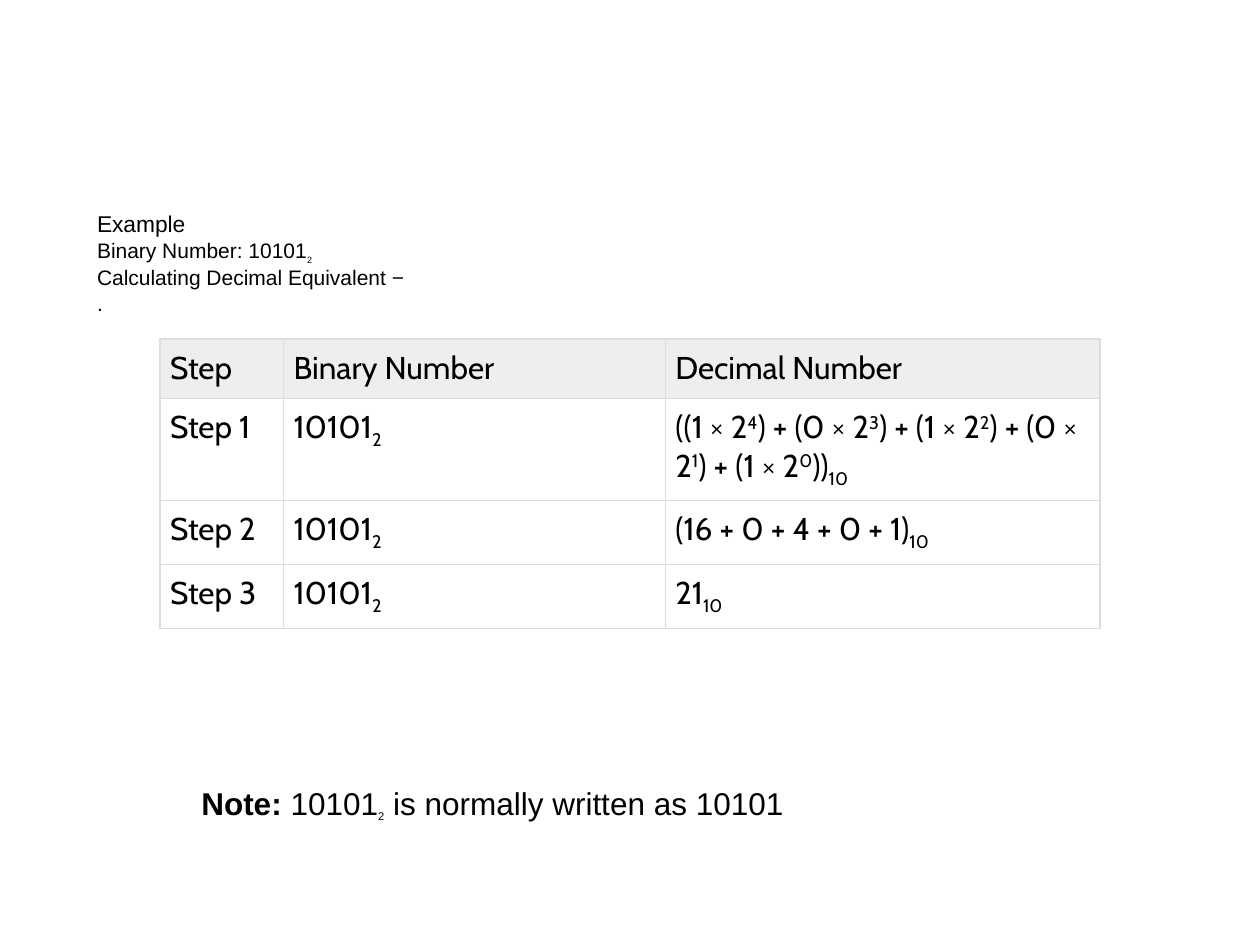
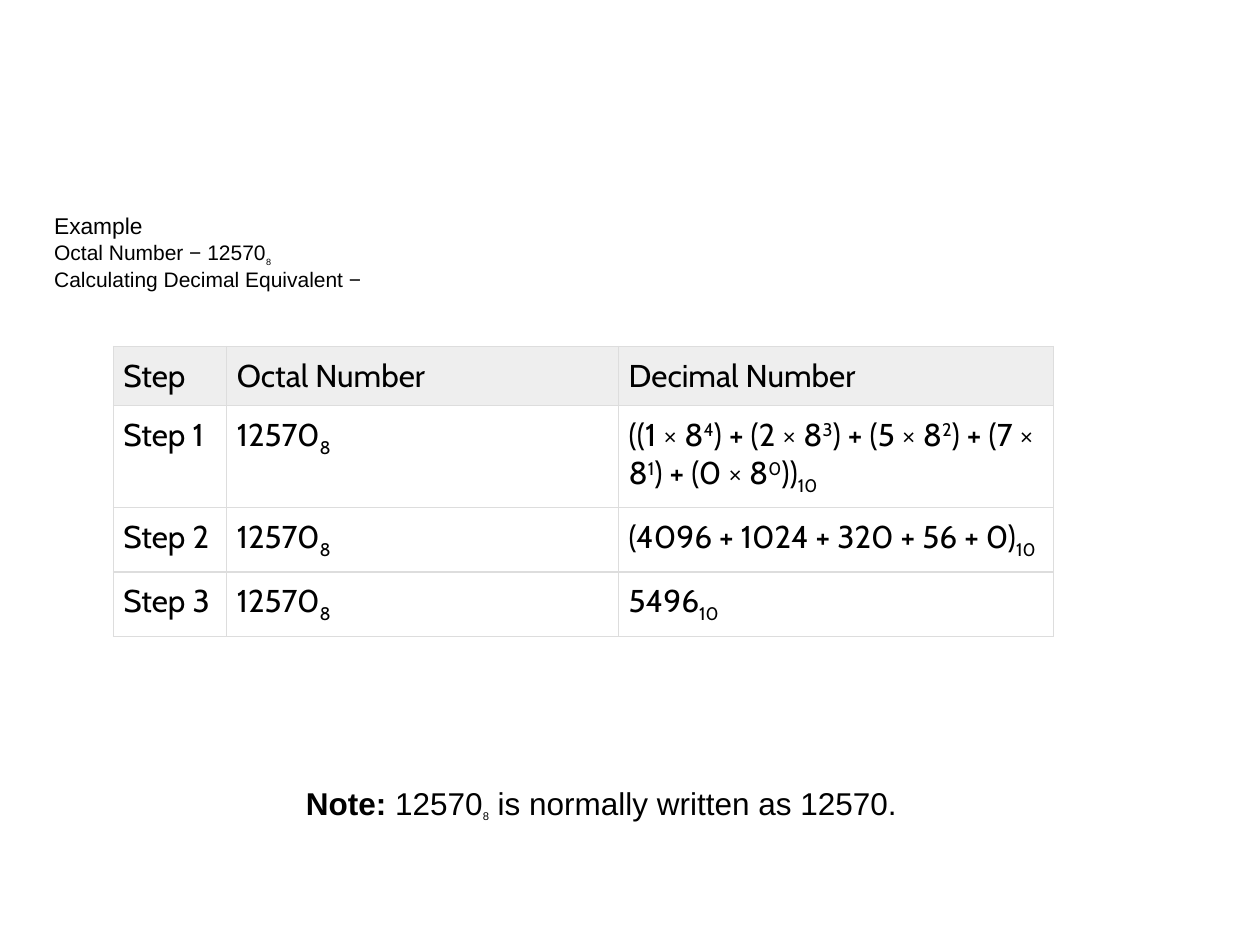
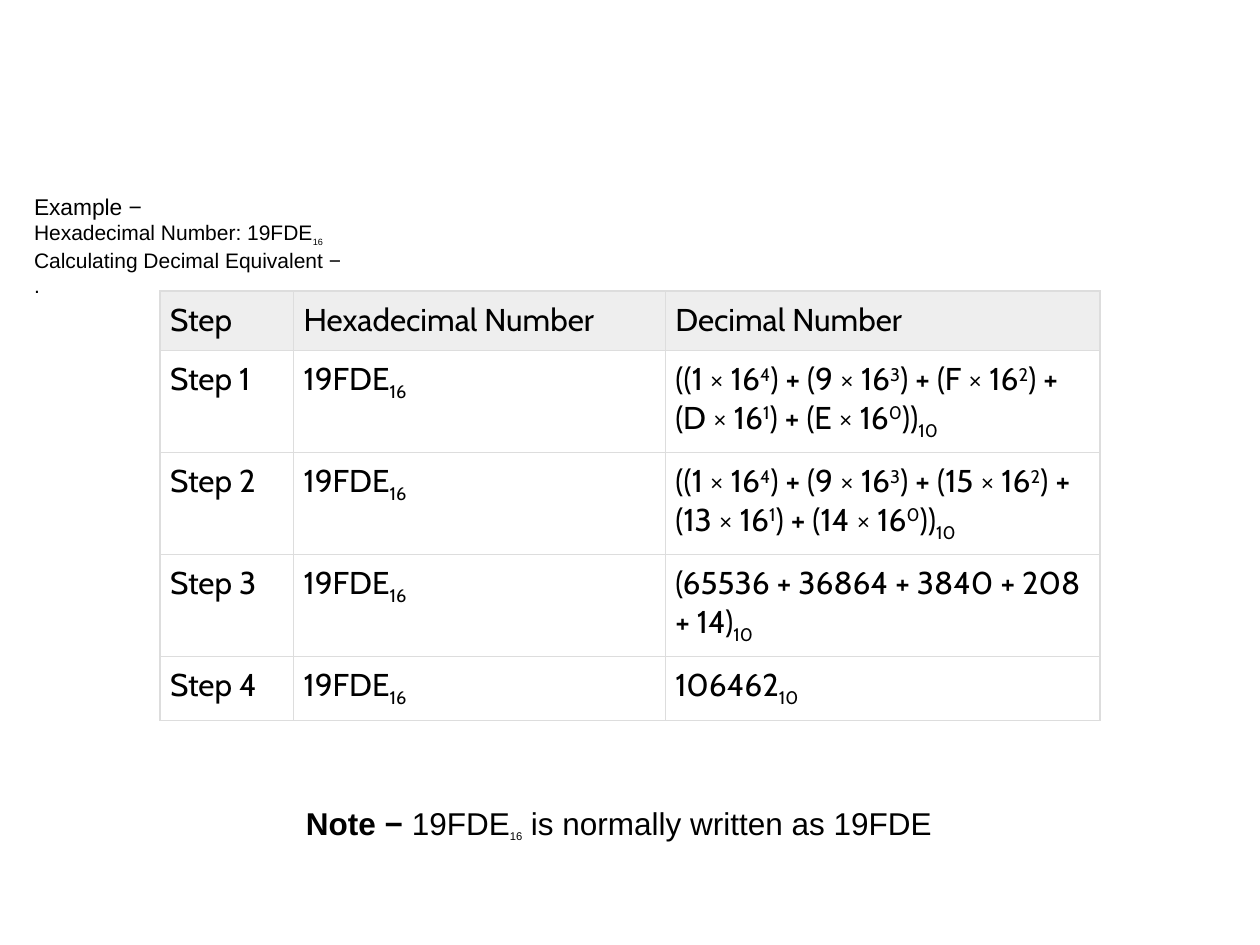
from dataclasses import dataclass

from lxml.etree import SubElement
from pptx import Presentation
from pptx.dml.color import RGBColor
from pptx.enum.text import MSO_ANCHOR, MSO_AUTO_SIZE, PP_ALIGN
from pptx.oxml.ns import qn
from pptx.util import Emu, Pt

PX = 9144  # 100 px to the inch


@dataclass(frozen=True)
class Theme:
    text_font: str = "Arial"
    table_font: str = "Cabin"
    ink: str = "000000"
    header_fill: str = "EEEEEE"
    border: str = "DDDDDD"
    border_pt: float = 0.75
    lead_pt: int = 13
    detail_pt: int = 12
    detail_script_pt: int = 9
    table_pt: int = 18
    note_pt: int = 18
    note_script_pt: int = 11
    superscript: int = 30
    table_subscript: int = -25
    text_subscript: int = -30


@dataclass(frozen=True)
class Conversion:
    """A worked conversion and the boxes (left, top, width, height) of its parts."""
    system: str
    number: str
    base: int
    heading: tuple
    heading_box: tuple
    columns: tuple
    table_at: tuple
    steps: tuple
    note_label: str
    note_end: str
    note_box: tuple


T = Theme()
HEADER_H, ROW_H, WRAPPED_ROW_H = 47, 51, 81
CELL_INSET = 8
WRAP_LENGTH = 32


def px(*lengths):
    return [Emu(n * PX) for n in lengths]


def expansion(digits, base):
    """Sum of digit times power of the base, marked up for write()."""
    top = len(digits) - 1
    terms = [f"({d} × {base}|^{top - i}|)" for i, d in enumerate(digits)]
    return f"({' + '.join(terms)})|_10|"


def write(p, text, font, size, script_size=None, subscript=T.text_subscript):
    """Add runs to p; |_x| marks a subscript and |^x| a superscript."""
    for piece in filter(None, text.split("|")):
        r = p.add_run()
        is_script = piece[0] in "_^"
        r.text = piece[1:] if is_script else piece
        r.font.name = font
        r.font.size = Pt(script_size if is_script and script_size else size)
        r.font.bold = False
        r.font.color.rgb = RGBColor.from_string(T.ink)
        if is_script:
            offset = subscript if piece[0] == "_" else T.superscript
            r._r.get_or_add_rPr().set("baseline", str(offset * 1000))


def add_heading(s, box, lines):
    sp = s.shapes.title
    sp.left, sp.top, sp.width, sp.height = px(*box)
    tf = sp.text_frame
    tf.word_wrap = True
    tf.auto_size = MSO_AUTO_SIZE.SHAPE_TO_FIT_TEXT
    tf.vertical_anchor = MSO_ANCHOR.MIDDLE
    for i, line in enumerate(lines):
        p = tf.add_paragraph() if i else tf.paragraphs[0]
        p.alignment = PP_ALIGN.JUSTIFY
        size = T.detail_pt if i else T.lead_pt
        write(p, line, T.text_font, size, T.detail_script_pt)


def add_borders(cell):
    tc_pr = cell._tc.get_or_add_tcPr()
    for side in ("a:lnL", "a:lnR", "a:lnT", "a:lnB"):
        ln = SubElement(tc_pr, qn(side), w=str(Pt(T.border_pt)))
        fill = SubElement(ln, qn("a:solidFill"))
        SubElement(fill, qn("a:srgbClr"), val=T.border)


def format_cell(cell, text, is_header):
    cell.margin_left = cell.margin_right = Emu(CELL_INSET * PX)
    cell.margin_top = cell.margin_bottom = Emu(CELL_INSET * PX)
    add_borders(cell)
    if is_header:
        cell.fill.solid()
        cell.fill.fore_color.rgb = RGBColor.from_string(T.header_fill)
    else:
        cell.fill.background()
    write(cell.text_frame.paragraphs[0], text, T.table_font, T.table_pt,
          subscript=T.table_subscript)


def add_steps_table(s, at, columns, rows):
    box = px(*at, sum(columns), HEADER_H + ROW_H * (len(rows) - 1))
    table = s.shapes.add_table(len(rows), len(columns), *box).table
    table.first_row = table.horz_banding = False
    for column, width in zip(table.columns, px(*columns)):
        column.width = width
    for i, (row, texts) in enumerate(zip(table.rows, rows)):
        cells = list(row.cells)
        for cell, text in zip(cells, texts):
            format_cell(cell, text, is_header=i == 0)
        wraps = len(cells[-1].text_frame.text) > WRAP_LENGTH
        height = HEADER_H if i == 0 else WRAPPED_ROW_H if wraps else ROW_H
        row.height = Emu(height * PX)


def add_note(s, box, label, text):
    tf = s.shapes.add_textbox(*px(*box)).text_frame
    tf.word_wrap = True
    tf.auto_size = MSO_AUTO_SIZE.SHAPE_TO_FIT_TEXT
    p = tf.paragraphs[0]
    write(p, label, T.text_font, T.note_pt)
    p.runs[0].font.bold = True
    write(p, " " + text, T.text_font, T.note_pt, T.note_script_pt)


def add_conversion_slide(prs, c):
    s = prs.slides.add_slide(prs.slide_layouts.get_by_name("Title Only"))
    marked = f"{c.number}|_{c.base}|"
    rows = [("Step", f"{c.system} Number", "Decimal Number")]
    rows += [(f"Step {i}", marked, step) for i, step in enumerate(c.steps, 1)]
    add_steps_table(s, c.table_at, c.columns, rows)
    add_heading(s, c.heading_box, [line.format(marked) for line in c.heading])
    add_note(s, c.note_box, c.note_label,
             f"{marked} is normally written as {c.number}{c.note_end}")


CALCULATING = "Calculating Decimal Equivalent −"

CONVERSIONS = (
    Conversion(
        system="Binary", number="10101", base=2,
        heading=("Example", "Binary Number: {}", CALCULATING, "."),
        heading_box=(67, 162, 833, 93),
        columns=(98, 303, 345), table_at=(127, 269),
        steps=(expansion("10101", 2), "(16 + 0 + 4 + 0 + 1)|_10|", "21|_10|"),
        note_label="Note:", note_end="", note_box=(150, 617, 487, 40)),
    Conversion(
        system="Octal", number="12570", base=8,
        heading=("Example", "Octal Number − {}", CALCULATING),
        heading_box=(33, 164, 858, 72),
        columns=(90, 311, 345), table_at=(90, 275),
        steps=(expansion("12570", 8), "(4096 + 1024 + 320 + 56 + 0)|_10|",
               "5496|_10|"),
        note_label="Note:", note_end=".", note_box=(233, 617, 494, 40)),
    Conversion(
        system="Hexadecimal", number="19FDE", base=16,
        heading=("Example −", "Hexadecimal Number: {}", CALCULATING, "."),
        heading_box=(17, 148, 850, 93),
        columns=(106, 295, 345), table_at=(127, 231),
        steps=(expansion("19FDE", 16), expansion((1, 9, 15, 13, 14), 16),
               "(65536 + 36864 + 3840 + 208 + 14)|_10|", "106462|_10|"),
        note_label="Note −", note_end="", note_box=(233, 633, 600, 40)),
)


def main():
    prs = Presentation()
    prs.slide_width, prs.slide_height = px(1000, 750)
    for conversion in CONVERSIONS:
        add_conversion_slide(prs, conversion)
    prs.save("out.pptx")


if __name__ == "__main__":
    main()
